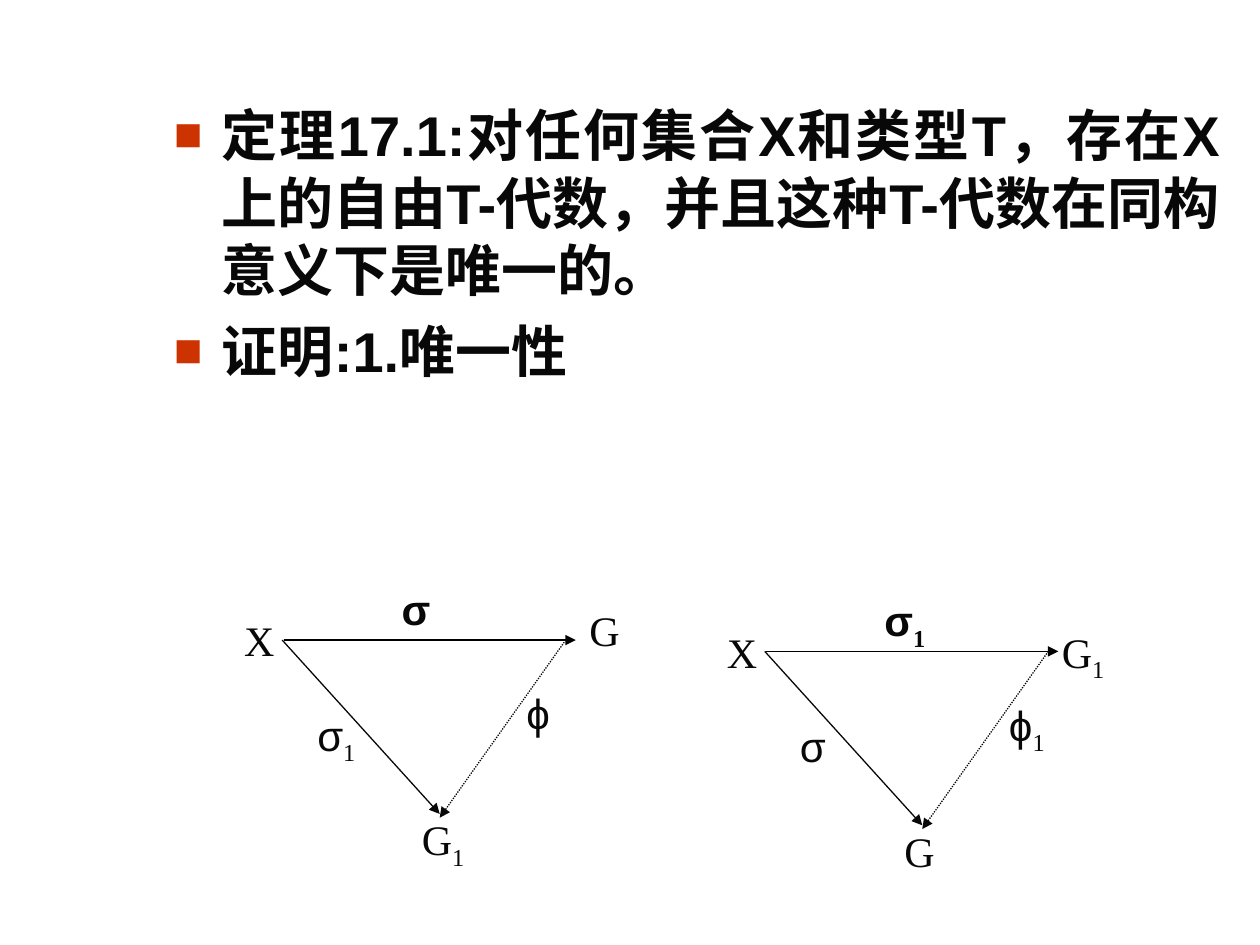
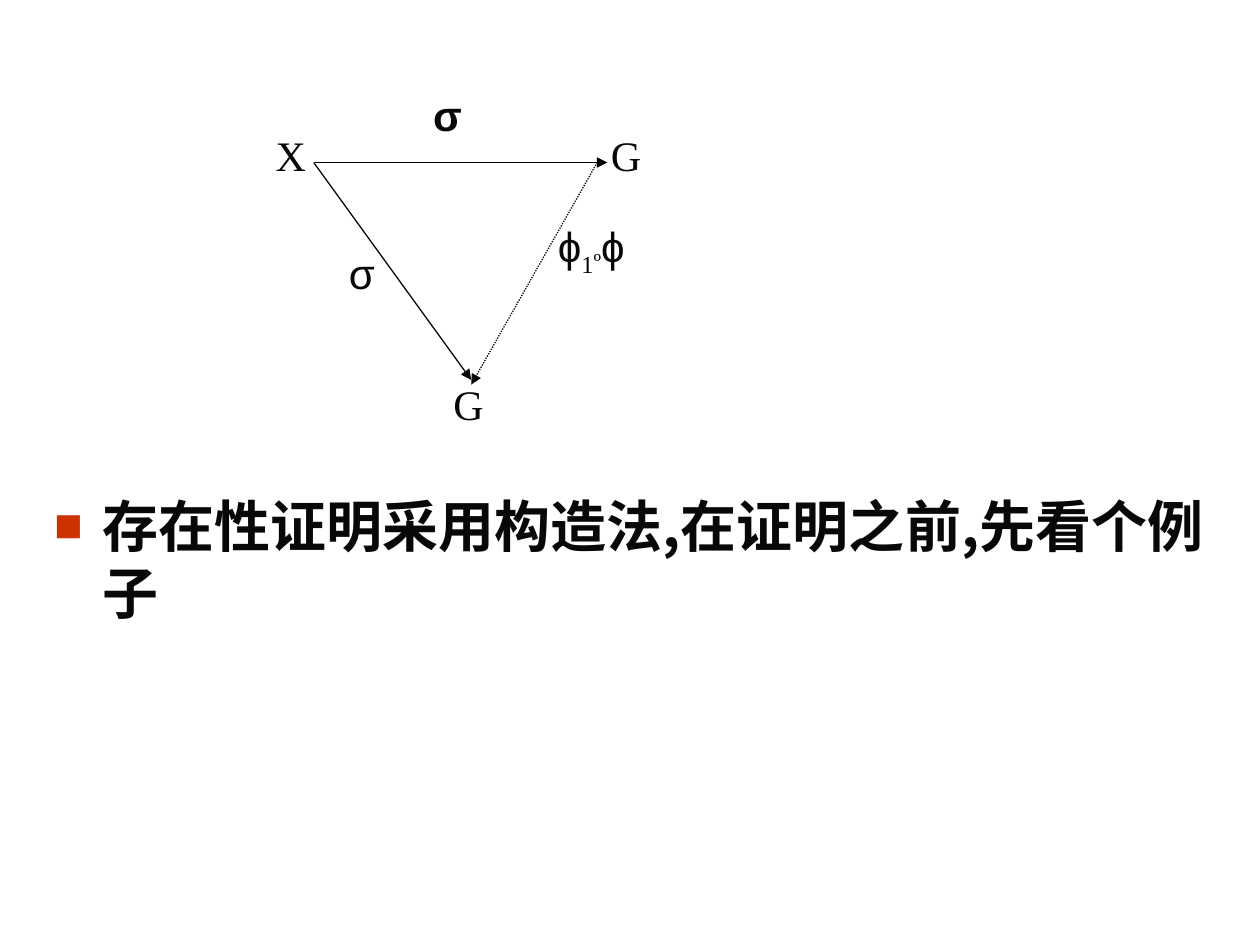
"""Build two slides on the uniqueness of free T-algebras."""
from lxml import etree
from pptx import Presentation
from pptx.dml.color import RGBColor
from pptx.enum.dml import MSO_LINE
from pptx.enum.shapes import MSO_CONNECTOR
from pptx.enum.text import MSO_ANCHOR, MSO_AUTO_SIZE, PP_ALIGN
from pptx.oxml.ns import qn
from pptx.util import Inches, Pt

STRAIGHT = MSO_CONNECTOR.STRAIGHT
DOTTED = MSO_LINE.ROUND_DOT
LEFT, JUSTIFY = PP_ALIGN.LEFT, PP_ALIGN.JUSTIFY
TOP = MSO_ANCHOR.TOP
NO_FIT = MSO_AUTO_SIZE.NONE

INK, BLACK, BULLET = "080808", "000000", "CC3300"
SANS, SERIF, CJK = "Arial", "Times New Roman", "Noto Sans CJK SC"
BASELINES = {"1": -25, "º": -18}
GREEK = "σϕ"

SLIDES = [
    {
        "body": [
            "定理17.1:对任何集合X和类型T，存在X上的自由T-代数，并且这种T-代数在同构意义下是唯一的。",
            "证明:1.唯一性",
        ],
        "box": (1.28, 0.75, 8.5, 3.5), "align": JUSTIFY, "font": SANS,
        "triangles": [
            {"origin": (2.25, 5.08), "stretch": 1, "moved": {"target": (2.33, -0.33)},
             "labels": {"top": "σ", "source": "X", "target": "G",
                        "side": "σ1", "dotted": "ϕ", "bottom": "G1"}},
            {"origin": (6.08, 5.17), "stretch": 1, "moved": {},
             "labels": {"top": "σ1", "source": "X", "target": "G1",
                        "side": "σ", "dotted": "ϕ1", "bottom": "G"}},
        ],
    },
    {
        "body": ["存在性证明采用构造法,在证明之前,先看个例子"],
        "box": (0.33, 3.85, 9.34, 2.82), "align": LEFT, "font": CJK,
        "triangles": [
            {"origin": (2.5, 1.29), "stretch": 1.25, "moved": {},
             "labels": {"top": "σ", "source": "X", "target": "G",
                        "side": "σ", "dotted": "ϕ1ºϕ", "bottom": "G"}},
        ],
    },
]

LABEL_OFFSETS = {
    "top": (0.84, -0.5), "source": (-0.41, -0.25), "target": (2.25, -0.25),
    "side": (0.17, 0.5), "dotted": (1.83, 0.33), "bottom": (1, 1.33),
}
ARROWS = [
    ((0, 0), (2.32, 0), BLACK, None),
    ((-0.01, 0), (1.24, 1.38), INK, None),
    ((2.24, 0), (1.24, 1.41), INK, DOTTED),
]


def rgb(color):
    return RGBColor.from_string(color)


def add_run(p, text, font=SERIF, size=24, bold=False, color=INK, baseline=0):
    r = p.add_run()
    r.text = text
    r.font.name, r.font.size, r.font.bold = font, Pt(size), bold
    r.font.color.rgb = rgb(color)
    r_pr = r.font._element
    etree.SubElement(r_pr, qn("a:ea")).set("typeface", CJK)
    if baseline:
        r_pr.set("baseline", str(baseline * 1000))


def add_bullet(p):
    p_pr = p._p.get_or_add_pPr()
    p_pr.set("marL", str(Inches(0.38)))
    p_pr.set("indent", str(Inches(-0.38)))
    color = etree.SubElement(p_pr, qn("a:buClr"))
    etree.SubElement(color, qn("a:srgbClr")).set("val", BULLET)
    etree.SubElement(p_pr, qn("a:buSzPct")).set("val", "85000")
    etree.SubElement(p_pr, qn("a:buFont")).set("typeface", SANS)
    etree.SubElement(p_pr, qn("a:buChar")).set("char", "■")


def fill_body(sp, content):
    sp.left, sp.top, sp.width, sp.height = map(Inches, content["box"])
    tf = sp.text_frame
    tf.auto_size, tf.vertical_anchor = NO_FIT, TOP
    for i, text in enumerate(content["body"]):
        p = tf.add_paragraph() if i else tf.paragraphs[0]
        p.alignment, p.space_before = content["align"], Pt(8)
        add_bullet(p)
        add_run(p, text, font=content["font"], size=32, bold=True)


def add_arrow(shapes, start, end, color, dash):
    line = shapes.add_connector(STRAIGHT, *map(Inches, start + end))
    line.line.color.rgb, line.line.width = rgb(color), Pt(0.75)
    if dash:
        line.line.dash_style = dash
    etree.SubElement(line.line._get_or_add_ln(), qn("a:tailEnd")).set("type", "triangle")
    etree.SubElement(line._element.spPr, qn("a:effectLst"))


def add_label(shapes, text, at, bold):
    tf = shapes.add_textbox(*map(Inches, at + (1, 0.5))).text_frame
    tf.word_wrap = True
    for char in text:
        add_run(tf.paragraphs[0], char, font=SANS if char in GREEK else SERIF,
                bold=bold, baseline=BASELINES.get(char, 0))


def add_triangle(s, triangle):
    shapes = s.shapes.add_group_shape().shapes
    x, y = triangle["origin"]

    def place(offset):
        return x + offset[0], y + offset[1] * triangle["stretch"]

    for start, end, color, dash in ARROWS:
        add_arrow(shapes, place(start), place(end), color, dash)
    offsets = {**LABEL_OFFSETS, **triangle["moved"]}
    for name, text in triangle["labels"].items():
        add_label(shapes, text, place(offsets[name]), name == "top")


def main():
    prs = Presentation()
    prs.slide_width, prs.slide_height = Inches(10), Inches(7.5)
    for content in SLIDES:
        s = prs.slides.add_slide(prs.slide_layouts[1])
        title = s.shapes.title._element
        title.getparent().remove(title)
        fill_body(s.placeholders[1], content)
        for triangle in content["triangles"]:
            add_triangle(s, triangle)
    prs.save("out.pptx")


if __name__ == "__main__":
    main()
